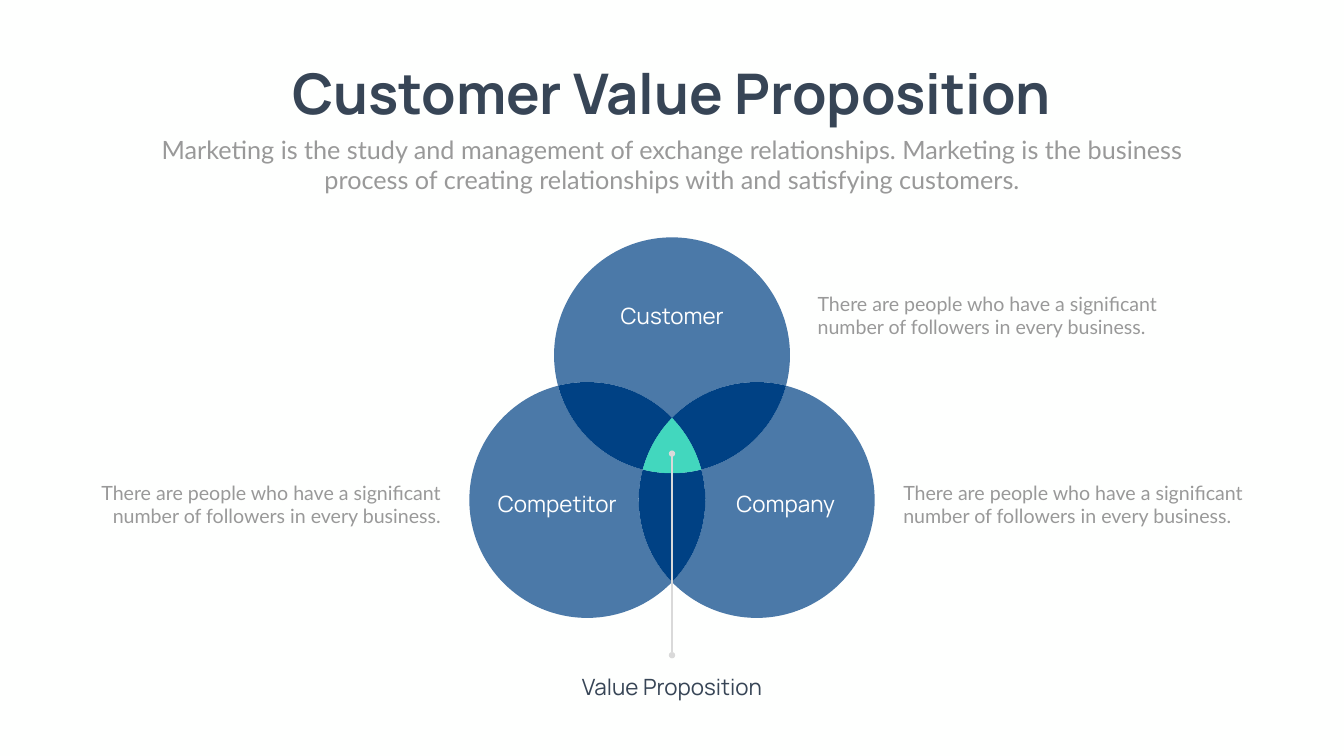
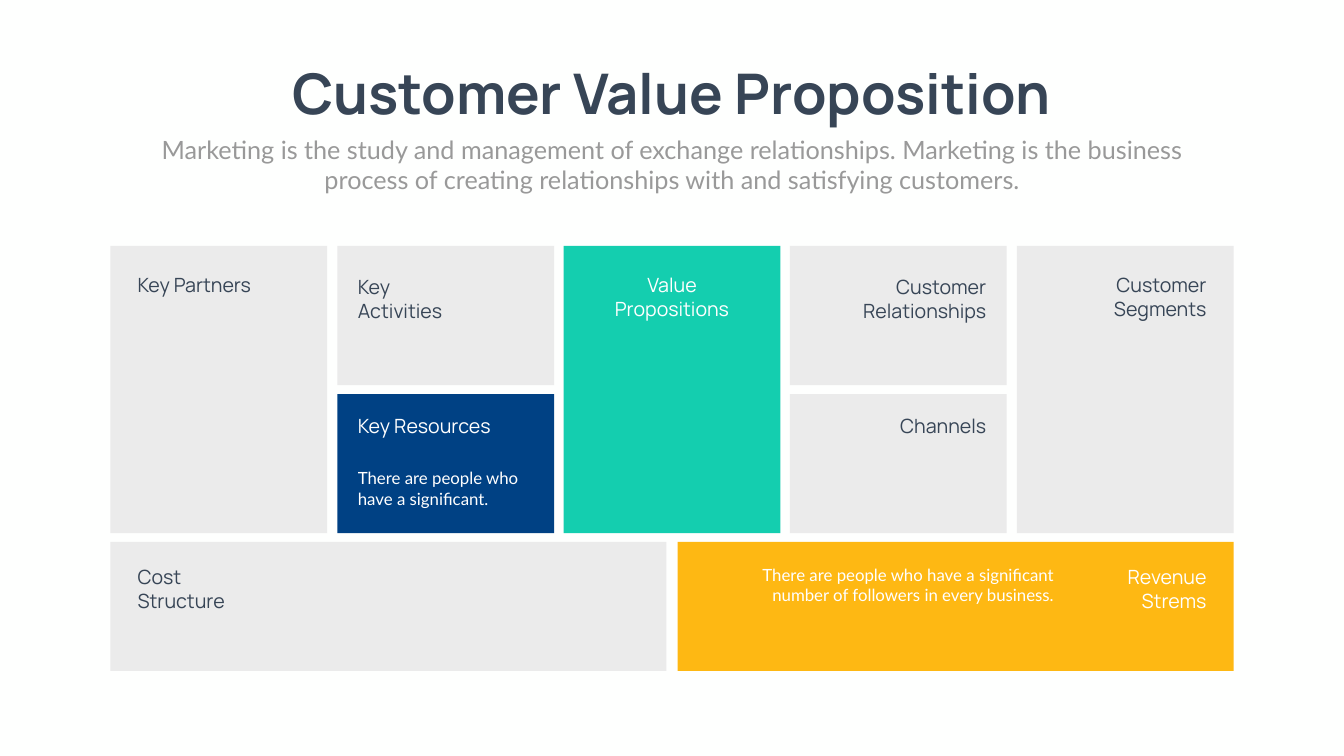
from dataclasses import dataclass
from itertools import pairwise
from math import atan2, cos, dist, hypot, pi, sin, tan

from lxml.etree import SubElement
from pptx import Presentation
from pptx.dml.color import RGBColor
from pptx.enum.shapes import MSO_CONNECTOR, MSO_SHAPE
from pptx.enum.text import MSO_AUTO_SIZE, PP_ALIGN
from pptx.oxml.ns import qn
from pptx.util import Emu, Pt

SCALE = 9144  # EMU in one px, 100 px to the inch
LEFT, CENTER, RIGHT = PP_ALIGN.LEFT, PP_ALIGN.CENTER, PP_ALIGN.RIGHT


@dataclass(frozen=True)
class Theme:
    paper: str = "FEFFFE"
    ink: str = "374556"
    gray: str = "999999"
    white: str = "FFFFFF"
    navy: str = "004184"
    mint: str = "14CEAF"
    amber: str = "FEB813"
    panel: str = "EBEBEB"
    rule: str = "D9D9D9"
    heading_font: str = "Manrope"
    body_font: str = "Lato"
    title_size: int = 80
    subtitle_size: int = 36
    circle_size: int = 32
    label_size: int = 28
    note_size: int = 24


THEME = Theme()
TITLE = "Customer Value Proposition"
SUBTITLE = ("Marketing is the study and management of exchange relationships. Marketing is "
            "the business process of creating relationships with and satisfying customers.")
SHORT_NOTE = "There are people who have a significant."
LONG_NOTE = "There are people who have a significant number of followers in every business."


@dataclass(frozen=True)
class Box:
    left: int
    top: int
    width: int
    height: int

    def inner(self, left, top, width, height):
        """A box placed from this box's top left corner."""
        return Box(self.left + left, self.top + top, width, height)

    def emu(self):
        return [px(n) for n in (self.left, self.top, self.width, self.height)]


def px(length):
    return Emu(round(length * SCALE))


# Shared helpers

def paint(shape, color, opacity=100):
    shape.shadow.inherit = False
    shape.line.fill.background()
    shape.fill.solid()
    shape.fill.fore_color.rgb = RGBColor.from_string(color)
    if opacity < 100:
        tint = shape._element.spPr.find(f"{qn('a:solidFill')}/{qn('a:srgbClr')}")
        SubElement(tint, qn("a:alpha"), val=str(opacity * 1000))


def write(page, box, text, size, color, align=LEFT, font=THEME.heading_font,
          bold=False, wrap=True):
    frame = page.shapes.add_textbox(*box.emu()).text_frame
    frame.word_wrap = wrap
    frame.auto_size = MSO_AUTO_SIZE.SHAPE_TO_FIT_TEXT
    para = frame.paragraphs[0]
    para.alignment = align
    span = para.add_run()
    span.text = text
    span.font.name = font
    span.font.size = Pt(size)
    span.font.bold = bold
    span.font.color.rgb = RGBColor.from_string(color)


def add_page(deck):
    page = deck.slides.add_slide(deck.slide_layouts[6])
    page.background.fill.solid()
    page.background.fill.fore_color.rgb = RGBColor.from_string(THEME.paper)
    return page


def add_header(page, box):
    write(page, box.inner(221, 0, 1639, 145), TITLE, THEME.title_size, THEME.ink,
          CENTER, bold=True, wrap=False)
    write(page, box.inner(0, 149, box.width, 131), SUBTITLE, THEME.subtitle_size,
          THEME.gray, CENTER, THEME.body_font)


# Venn diagram

def crossings(first, second, radius, middle):
    """Both meeting points of two equal circles, the one nearer the middle first."""
    (x1, y1), (x2, y2) = first, second
    gap = hypot(x2 - x1, y2 - y1)
    reach = (radius ** 2 - gap ** 2 / 4) ** 0.5 / gap
    points = [((x1 + x2) / 2 + side * reach * (y1 - y2),
               (y1 + y2) / 2 + side * reach * (x2 - x1)) for side in (1, -1)]
    return sorted(points, key=lambda point: dist(point, middle))


def arc(center, radius, start, end, clockwise):
    """Curve points, three to a piece, with pieces split at the quarter turns."""
    x, y = center
    first = atan2(start[1] - y, start[0] - x)
    sweep = (atan2(end[1] - y, end[0] - x) - first) % (2 * pi)
    if not clockwise:
        sweep -= 2 * pi
    low, high = sorted((first, first + sweep))
    quarters = [turn * pi / 2 for turn in range(-8, 9) if low < turn * pi / 2 < high]
    stops = sorted([low, *quarters, high], reverse=not clockwise)

    def point(angle, pull=0):
        return (x + radius * (cos(angle) - pull * sin(angle)),
                y + radius * (sin(angle) + pull * cos(angle)))

    points = []
    for a, b in pairwise(stops):
        pull = 4 / 3 * tan((b - a) / 4)
        points += [point(a, pull), point(b, -pull), point(b)]
    return points


def bend(shape):
    """Turn every three straight segments of the outline into one curve."""
    segments = list(shape._element.iter(qn("a:lnTo")))
    for index in range(0, len(segments), 3):
        curve, *others = segments[index:index + 3]
        curve.tag = qn("a:cubicBezTo")
        for segment in others:
            curve.append(segment[0])
            segment.getparent().remove(segment)


def add_region(page, radius, corners, sides, color, opacity=100):
    """Fill the outline through the corners; each side is (circle center, clockwise)."""
    points = [corners[0]]
    for index, (center, clockwise) in enumerate(sides):
        end = corners[(index + 1) % len(corners)]
        points += arc(center, radius, corners[index], end, clockwise)
    points = [(px(x), px(y)) for x, y in points]
    builder = page.shapes.build_freeform(*points[0], scale=1.0)
    builder.add_line_segments(points[1:], close=True)
    region = builder.convert_to_shape()
    bend(region)
    paint(region, color, opacity)


def add_venn(page, box):
    radius = 234
    left, right = box.left + radius, box.left + box.width - radius
    low = box.top + box.height - radius
    # Customer, company and competitor, clockwise
    centers = [((left + right) / 2, box.top + radius), (right, low), (left, low)]
    middle = tuple(sum(axis) / 3 for axis in zip(*centers))
    # Entry i is where circle i meets the next one
    meets = [crossings(centers[i], centers[(i + 1) % 3], radius, middle) for i in range(3)]
    near, far = zip(*meets)

    for i in range(3):
        after, before = (i + 1) % 3, (i + 2) % 3
        add_region(page, radius, [far[i], near[before], near[after]],
                   [(centers[i], True), (centers[before], False), (centers[after], True)],
                   THEME.navy)
    for i in range(3):
        after, before = (i + 1) % 3, (i + 2) % 3
        add_region(page, radius, [far[before], far[i], near[after]],
                   [(centers[i], True), (centers[after], False), (centers[before], False)],
                   THEME.navy, 70)
    add_region(page, radius, [near[1], near[2], near[0]],
               [(centers[2], True), (centers[0], True), (centers[1], True)],
               THEME.mint, 80)

    for text, x, y in (("Customer", 230, 123), ("Company", 455, 496),
                       ("Competitor", 2, 496)):
        write(page, box.inner(x, y, 345, 65), text, THEME.circle_size, THEME.white, CENTER)


def add_callout(page, box):
    """Pointer down the middle of the box, with its caption underneath."""
    write(page, box.inner(0, 431, box.width, 64), "Value Proposition",
          THEME.circle_size, THEME.ink, CENTER)
    x = px(box.left + box.width / 2)
    pointer = page.shapes.add_connector(MSO_CONNECTOR.STRAIGHT, x, px(box.top),
                                        x, px(box.top + 400))
    pointer.line.color.rgb = RGBColor.from_string(THEME.rule)
    pointer.line.width = Pt(3)
    for end in ("a:headEnd", "a:tailEnd"):
        SubElement(pointer._element.spPr.find(qn("a:ln")), qn(end), type="oval")
    SubElement(pointer._element.spPr, qn("a:effectLst"))


def add_venn_notes(page, box):
    for x, y, align in ((1531, 0, LEFT), (1701, 375, LEFT), (0, 375, RIGHT)):
        write(page, box.inner(x, y, 803, 104), LONG_NOTE, THEME.label_size, THEME.gray,
              align, THEME.body_font)


# Business canvas

def add_card(page, card, text, label_width, margin, top, align=LEFT,
             fill=THEME.panel, color=THEME.ink):
    paint(page.shapes.add_shape(MSO_SHAPE.RECTANGLE, *card.emu()), fill)
    spare = card.width - label_width
    offset = {LEFT: margin, CENTER: spare / 2, RIGHT: spare - margin}[align]
    write(page, card.inner(offset, top, label_width, 104), text, THEME.label_size,
          color, align)


def add_note(page, box, text, align):
    write(page, box, text, THEME.note_size, THEME.white, align, THEME.body_font)


def add_canvas(page, box):
    gap, half, foot = 18, 276, 256
    tall = 2 * half + gap
    column_width = 430
    step = (box.width - column_width) / 4

    def column(index, row=0, height=half):
        return box.inner(round(index * step), row * (half + gap), column_width, height)

    # Tall columns
    add_card(page, column(0, height=tall), "Key Partners", 250, 44, 49)
    add_card(page, column(2, height=tall), "Value Propositions", 344, 43, 49, CENTER,
             THEME.mint, THEME.white)
    add_card(page, column(4, height=tall), "Customer Segments", 303, 44, 49, RIGHT)

    # Split columns
    resources = column(1, 1)
    add_card(page, column(1), "Key Activities", 232, 31, 53)
    add_card(page, resources, "Key Resources", 303, 31, 35,
             fill=THEME.navy, color=THEME.white)
    add_note(page, resources.inner(31, 142, 379, 91), SHORT_NOTE, LEFT)
    add_card(page, column(3), "Customer Relationships", 303, 31, 53, RIGHT)
    add_card(page, column(3, 1), "Channels", 303, 31, 35, RIGHT)

    # Bottom row
    wide = 1103
    costs = box.inner(0, box.height - foot, wide, foot)
    revenue = box.inner(box.width - wide, box.height - foot, wide, foot)
    add_card(page, costs, "Cost Structure", 229, 44, 41)
    add_card(page, revenue, "Revenue Strems", 303, 44, 41, RIGHT, THEME.amber, THEME.white)
    add_note(page, revenue.inner(41, 41, 715, 91), LONG_NOTE, RIGHT)


def main():
    deck = Presentation()
    deck.slide_width, deck.slide_height = px(2666), px(1500)
    header = Box(292, 112, 2082, 280)

    venn_page = add_page(deck)
    add_header(venn_page, header)
    add_venn(venn_page, Box(931, 471, 804, 755))
    add_callout(venn_page, Box(935, 900, 796, 495))
    add_venn_notes(venn_page, Box(81, 574, 2504, 479))

    canvas_page = add_page(deck)
    add_header(canvas_page, header)
    add_canvas(canvas_page, Box(219, 488, 2228, 843))

    deck.save("out.pptx")


if __name__ == "__main__":
    main()
